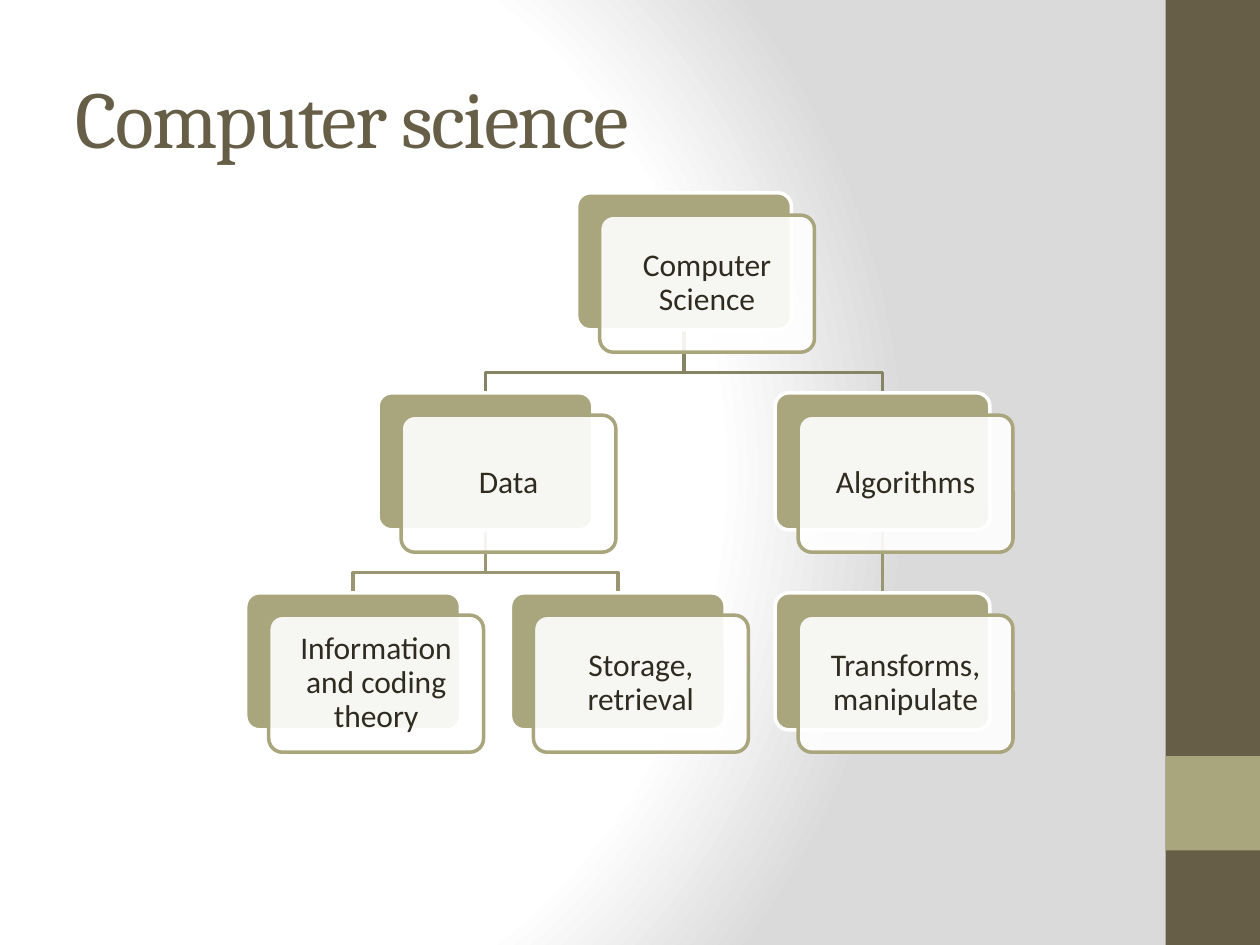
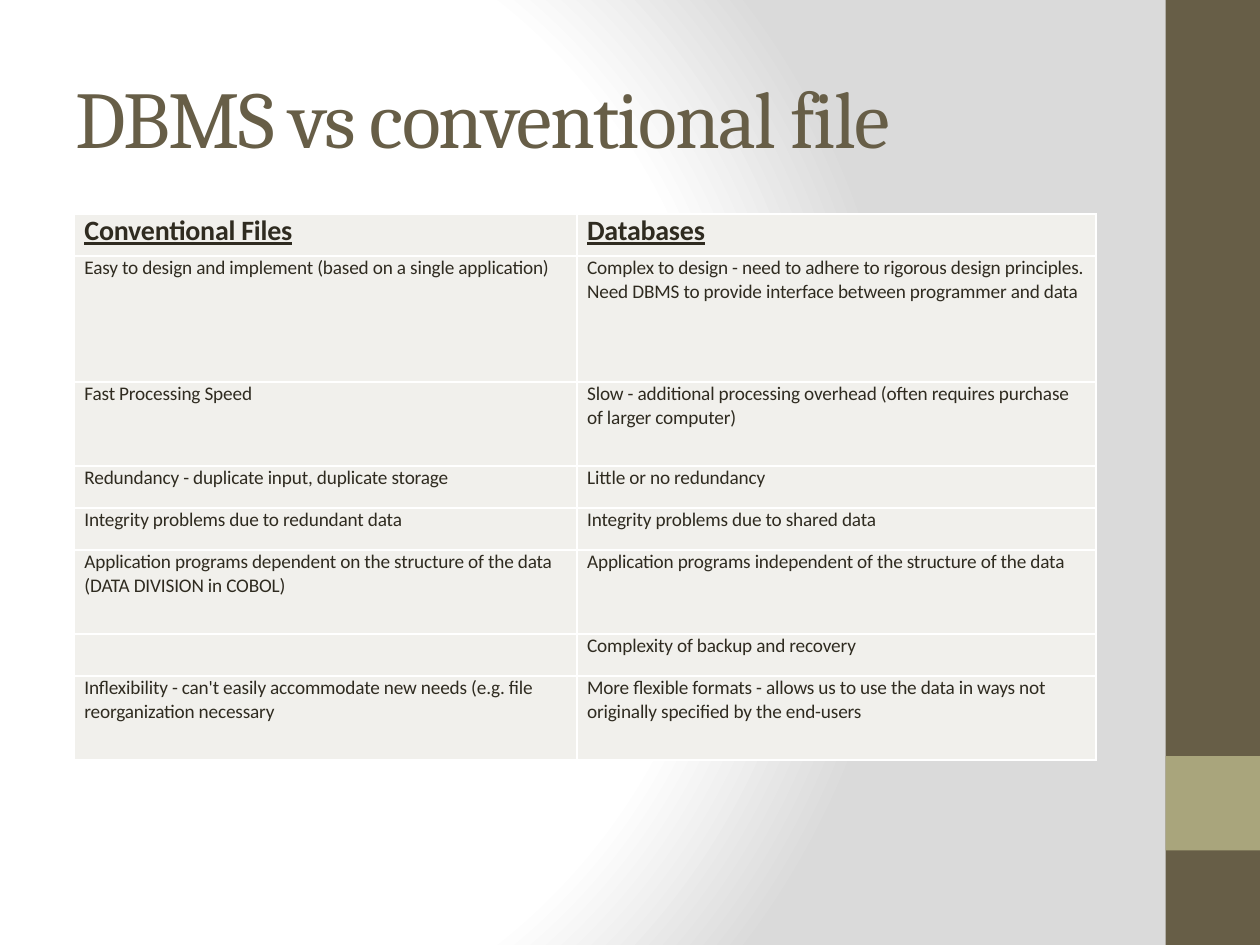
from dataclasses import dataclass
from lxml.etree import SubElement
from pptx import Presentation
from pptx.dml.color import RGBColor
from pptx.enum.shapes import MSO_CONNECTOR as Connector, MSO_SHAPE as Preset
from pptx.enum.text import MSO_ANCHOR as Anchor, PP_ALIGN as Align
from pptx.oxml import parse_xml
from pptx.oxml.ns import nsdecls, qn
from pptx.util import Inches, Pt

COLOURS = {
    "brown": "675E47",
    "olive": "A9A57C",
    "ink": "2F2B20",
    "white": "FFFFFF",
    "grey": "DADADA",
    "cell": "F1F0EC",
    "upper_branch": "878463",
    "lower_branch": "999671",
}
UNIT = Inches(0.1)
COLUMNS, ROWS = 100, 75

TREE = ("Computer Science", [
    ("Data", [("Information and coding theory", []), ("Storage, retrieval", [])]),
    ("Algorithms", [("Transforms, manipulate", [])]),
])
COMPARISON = [
    ("Conventional Files", "Databases"),
    ("Easy to design and implement (based on a single application)",
     "Complex to design - need to adhere to rigorous design principles. "
     "Need DBMS to provide interface between programmer and data"),
    ("Fast Processing Speed",
     "Slow - additional processing overhead (often requires purchase of larger computer)"),
    ("Redundancy - duplicate input, duplicate storage", "Little or no redundancy"),
    ("Integrity problems due to redundant data", "Integrity problems due to shared data"),
    ("Application programs dependent on the structure of the data (DATA DIVISION in COBOL)",
     "Application programs independent of the structure of the data"),
    ("", "Complexity of backup and recovery"),
    ("Inflexibility - can't easily accommodate new needs (e.g. file reorganization necessary",
     "More flexible formats - allows us to use the data in ways not originally "
     "specified by the end-users"),
]
ROW_SHARES = [1, 3, 2, 1, 1, 2, 1, 2]
COLUMN_SHARES = [39.9, 41.2]


@dataclass
class Box:
    """A region of the slide, in grid columns and rows."""
    left: float
    top: float
    width: float
    height: float

    def place(self):
        """Return the region as lengths for python-pptx."""
        return [grid(value) for value in (self.left, self.top, self.width, self.height)]


def grid(count):
    """Turn a count of grid units into a length."""
    return int(count * UNIT)


def colour(name):
    """Look up a named colour."""
    return RGBColor.from_string(COLOURS[name])


def write(frame, text, size=18, font="Calibri", ink="ink", bold=False, underline=False,
          align=Align.LEFT, spacing=0, line=None, before=0, after=0, anchor=Anchor.MIDDLE):
    """Put one formatted paragraph in a text frame."""
    frame.word_wrap = True
    frame.vertical_anchor = anchor
    paragraph = frame.paragraphs[0]
    paragraph.alignment = align
    paragraph.line_spacing = line
    paragraph.space_before, paragraph.space_after = Pt(before), Pt(after)
    run = paragraph.add_run()
    run.text = text
    run.font.size, run.font.name = Pt(size), font
    run.font.bold, run.font.underline = bold, underline
    run.font.color.rgb = colour(ink)
    run._r.get_or_add_rPr().set("spc", str(int(spacing * 100)))


def add_block(slide, box, fill, preset=Preset.RECTANGLE, line=None, opacity=100):
    """Add a filled preset shape."""
    shape = slide.shapes.add_shape(preset, *box.place())
    shape.shadow.inherit = False
    shape.fill.solid()
    shape.fill.fore_color.rgb = colour(fill)
    if opacity < 100:
        solid = shape.element.spPr.find(qn("a:solidFill"))
        SubElement(solid[0], qn("a:alpha")).set("val", str(opacity * 1000))
    if line:
        shape.line.color.rgb = colour(line)
        shape.line.width = Pt(2)
    else:
        shape.line.fill.background()
    return shape


def set_background(master):
    """Give every slide the round white to grey gradient."""
    master.background.fill.solid()
    properties = master.element.find(".//" + qn("p:bgPr"))
    stops = "".join(
        f'<a:gs pos="{position * 1000}"><a:srgbClr val="{COLOURS[name]}"/></a:gs>'
        for position, name in [(0, "white"), (75, "white"), (100, "grey")])
    properties.replace(properties[0], parse_xml(
        f'<a:gradFill {nsdecls("a")} rotWithShape="1"><a:gsLst>{stops}</a:gsLst>'
        '<a:path path="circle"><a:fillToRect l="20000" t="50000" r="100000" b="50000"/>'
        '</a:path></a:gradFill>'))


def add_titled_slide(presentation, title):
    """Add a slide with the side band and a title."""
    slide = presentation.slides.add_slide(presentation.slide_layouts[6])
    band = 7.5
    add_block(slide, Box(COLUMNS - band, 0, band, ROWS), "brown")
    add_block(slide, Box(COLUMNS - band, 60, band, band), "olive")
    text_box = slide.shapes.add_textbox(*Box(5, 3, 83.3, 12.5).place())
    write(text_box.text_frame, title, size=46, font="Cambria", ink="brown", spacing=-1)
    return slide


def add_card(slide, box, text, shift):
    """Add a node: an olive card behind a translucent labelled one."""
    front = Box(box.left + shift[0], box.top + shift[1], box.width, box.height)
    for card, fill, line, opacity in [(box, "olive", "white", 100),
                                      (front, "white", "olive", 90)]:
        shape = add_block(slide, card, fill, Preset.ROUNDED_RECTANGLE, line, opacity)
        shape.adjustments[0] = 0.1
    frame = shape.text_frame
    frame.margin_left = frame.margin_right = grid(1)
    frame.margin_top = frame.margin_bottom = grid(1)
    write(frame, text, align=Align.CENTER, line=0.9)


def add_branch(slide, parent, child, ink):
    """Join the foot of a parent card to the head of a child card."""
    start_x, end_x = (card.left + card.width / 2 for card in (parent, child))
    start_y, end_y = parent.top + parent.height, child.top
    bend_y = start_y + 0.68 * (end_y - start_y)
    if abs(start_x - end_x) < 0.01:
        branch = slide.shapes.add_connector(
            Connector.STRAIGHT, grid(start_x), grid(start_y), grid(end_x), grid(end_y))
        SubElement(branch.element.spPr, qn("a:effectLst"))
    else:
        builder = slide.shapes.build_freeform(grid(start_x), grid(start_y))
        builder.add_line_segments(
            [(grid(x), grid(y)) for x, y in
             [(start_x, bend_y), (end_x, bend_y), (end_x, end_y)]], close=False)
        branch = builder.convert_to_shape()
        branch.fill.background()
        branch.shadow.inherit = False
    branch.line.color.rgb = colour(ink)
    branch.line.width = Pt(2)


def add_tree(slide, box, tree):
    """Draw a three-level tree, each parent centred over its children."""
    width, height = 0.28 * box.width, 0.245 * box.height
    shift = 0.03 * box.width, 0.04 * box.height
    column_step = (box.width - width - shift[0]) / 2
    row_step = (box.height - height - shift[1]) / 2
    cards, branches, leaves = [], [], []

    def lay_out(node, level):
        """Place the children of a node, then the node itself."""
        text, children = node
        below = [lay_out(child, level + 1) for child in children]
        if below:
            left = (below[0].left + below[-1].left) / 2
        else:
            left = box.left + len(leaves) * column_step
            leaves.append(text)
        card = Box(left, box.top + level * row_step, width, height)
        cards.append((card, text))
        ink = "lower_branch" if level else "upper_branch"
        branches.extend((card, child, ink) for child in below)
        return card

    lay_out(tree, 0)
    for parent, child, ink in branches:
        add_branch(slide, parent, child, ink)
    for card, text in cards:
        add_card(slide, card, text, shift)


def format_cell(cell, text, heading):
    """Fill, border and label one table cell."""
    cell.margin_left = cell.margin_right = Inches(0.08)
    cell.margin_top = cell.margin_bottom = 0
    properties = cell._tc.get_or_add_tcPr()
    for side in ("lnL", "lnR", "lnT", "lnB"):
        properties.append(parse_xml(
            f'<a:{side} {nsdecls("a")} w="{Pt(1)}"><a:solidFill>'
            f'<a:srgbClr val="{COLOURS["white"]}"/></a:solidFill></a:{side}>'))
    cell.fill.solid()
    cell.fill.fore_color.rgb = colour("cell")
    if text:
        cell.vertical_anchor = Anchor.TOP
        write(cell.text_frame, text, size=16 if heading else 11, bold=heading,
              underline=heading, spacing=-0.1, before=4.5, after=2.7, anchor=None)


def add_comparison(slide, box, rows):
    """Draw the two-column comparison table."""
    table = slide.shapes.add_table(len(rows), len(rows[0]), *box.place()).table
    table.first_row = table.horz_banding = False
    for column, share in zip(table.columns, COLUMN_SHARES):
        column.width = grid(box.width * share / sum(COLUMN_SHARES))
    for row, share in zip(table.rows, ROW_SHARES):
        row.height = grid(box.height * share / sum(ROW_SHARES))
    for row_index, texts in enumerate(rows):
        for column_index, text in enumerate(texts):
            format_cell(table.cell(row_index, column_index), text, row_index == 0)


def main():
    """Build and save the two slides."""
    presentation = Presentation()
    presentation.slide_width, presentation.slide_height = grid(COLUMNS), grid(ROWS)
    set_background(presentation.slide_master)
    add_tree(add_titled_slide(presentation, "Computer science"),
             Box(19.5, 15.3, 60.9, 44.4), TREE)
    add_comparison(add_titled_slide(presentation, "DBMS vs conventional file"),
                   Box(5.9, 17, 81.1, 43.3), COMPARISON)
    presentation.save("out.pptx")


main()
